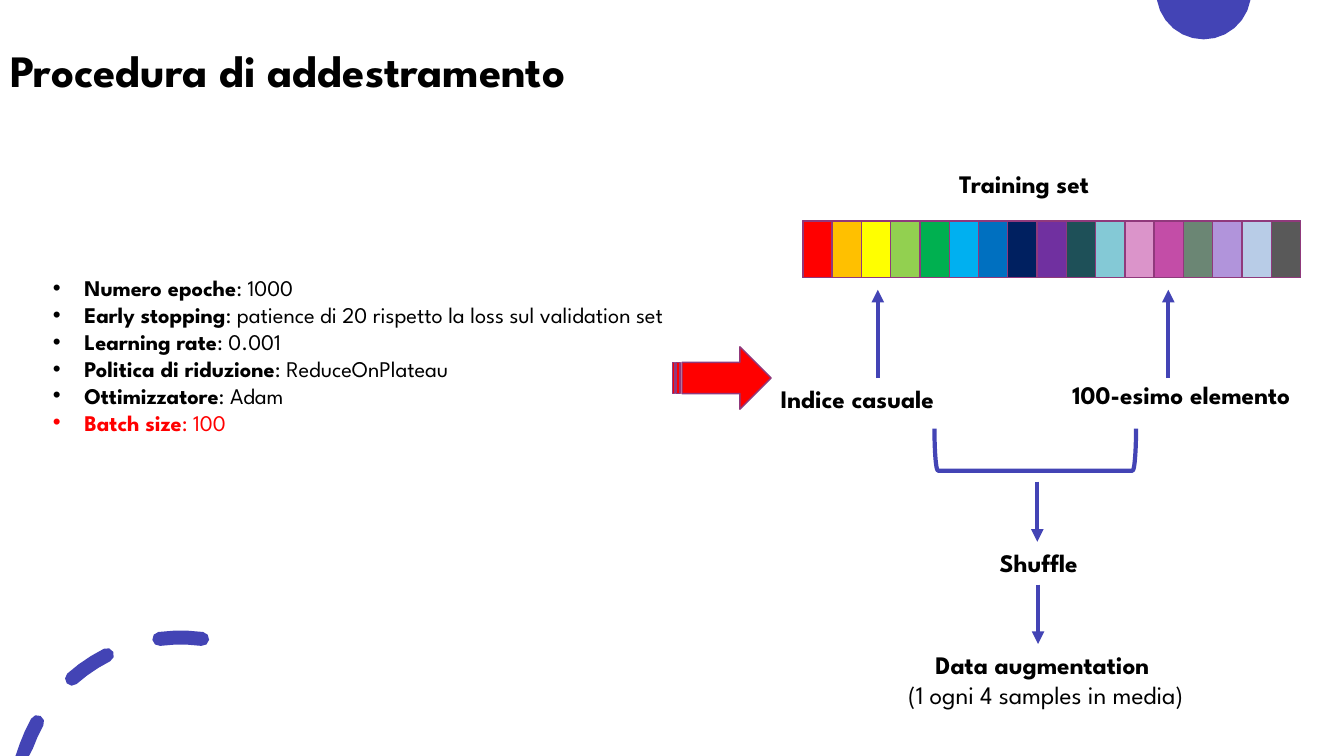
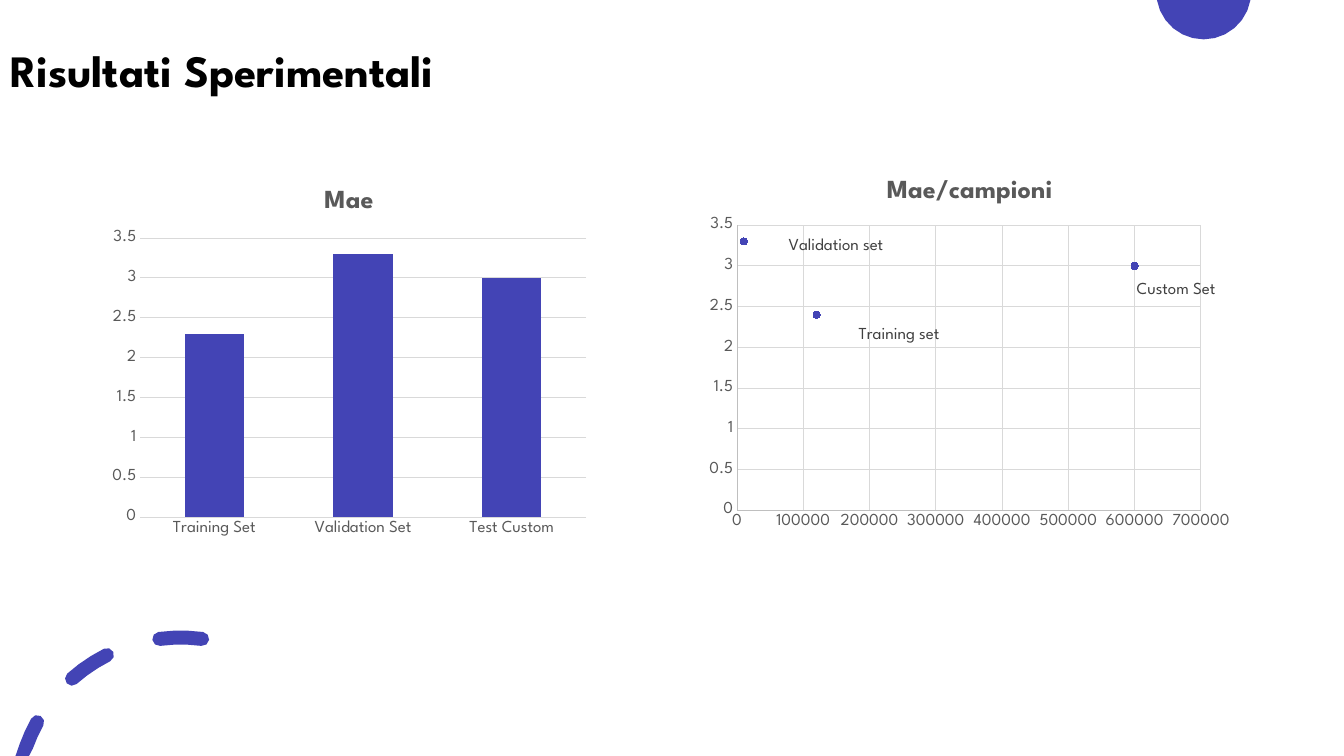
from math import asin, cos, degrees, radians, sin

from lxml.etree import SubElement
from pptx import Presentation
from pptx.chart.data import CategoryChartData, XyChartData
from pptx.dml.color import RGBColor
from pptx.enum.chart import XL_CHART_TYPE, XL_LABEL_POSITION, XL_MARKER_STYLE, XL_TICK_MARK
from pptx.enum.shapes import MSO_CONNECTOR, MSO_SHAPE
from pptx.enum.text import MSO_ANCHOR, MSO_AUTO_SIZE, PP_ALIGN
from pptx.oxml.ns import qn
from pptx.util import Pt

RECT = MSO_SHAPE.RECTANGLE
STRIPED = MSO_SHAPE.STRIPED_RIGHT_ARROW
BRACKET = MSO_SHAPE.LEFT_BRACKET
STRAIGHT = MSO_CONNECTOR.STRAIGHT
LEFT, CENTER = PP_ALIGN.LEFT, PP_ALIGN.CENTER
TOP, MIDDLE = MSO_ANCHOR.TOP, MSO_ANCHOR.MIDDLE
FIXED = MSO_AUTO_SIZE.NONE
COLUMN, SCATTER = XL_CHART_TYPE.COLUMN_CLUSTERED, XL_CHART_TYPE.XY_SCATTER
CIRCLE = XL_MARKER_STYLE.CIRCLE
NO_TICK = XL_TICK_MARK.NONE
RIGHT = XL_LABEL_POSITION.RIGHT

BLUE = RGBColor(0x43, 0x44, 0xB5)
BLACK = RGBColor(0, 0, 0)
RED = RGBColor(0xFF, 0, 0)
PLUM = RGBColor(0x90, 0x39, 0x7C)
GRAY = RGBColor(0x59, 0x59, 0x59)
DARK = RGBColor(0x40, 0x40, 0x40)
SILVER = RGBColor(0xBF, 0xBF, 0xBF)
PALE = RGBColor(0xD9, 0xD9, 0xD9)
BANDS = [RGBColor.from_string(code) for code in (
    "FF0000 FFC000 FFFF00 92D050 00B050 00B0F0 0070C0 002060 7030A0 "
    "1E5058 84C9D6 DB94CA C34DA7 6B8674 B194DB B8CCE7 595959").split()]

FONT = "League Spartan"
WIDE, HIGH = 960, 540
TITLED, LISTED = 5, 1


def arc(mid, size, start, end, steps):
    turns = [radians(start + (end - start) * i / steps) for i in range(steps + 1)]
    return [(mid[0] + size * cos(t), min(mid[1] - size * sin(t), HIGH)) for t in turns]


def dash(mid, size, half, start, end):
    def cap(turn, first):
        spot = (mid[0] + size * cos(radians(turn)), mid[1] - size * sin(radians(turn)))
        return arc(spot, half, first, first + 180, 4)[1:-1]

    return (arc(mid, size + half, start, end, 3) + cap(end, end)
            + arc(mid, size - half, end, start, 3) + cap(start, start + 180))


def place(node, spot, **parts):
    for old in node.findall(qn("c:layout")):
        node.remove(old)
    layout = node.makeelement(qn("c:layout"))
    node.insert(spot, layout)
    manual = SubElement(layout, qn("c:manualLayout"))
    for name, value in parts.items():
        SubElement(manual, qn("c:" + name)).set("val", str(value))


class Deck:
    def __init__(self):
        self.prs = Presentation()
        self.prs.slide_width, self.prs.slide_height = Pt(WIDE), Pt(HIGH)
        self.slide = None

    def start(self, layout, title, width):
        first = self.slide is None
        self.slide = self.prs.slides.add_slide(self.prs.slide_layouts[layout])
        if first:
            self.adorn()
        head = self.slide.shapes.title
        self.move(head, 0, 0, width, 104.4)
        para = self.frame(head, MIDDLE).paragraphs[0]
        para.alignment, para.line_spacing = LEFT, 0.9
        self.run(para, title, 32)

    def adorn(self):
        lean = degrees(asin(0.17))
        disc = arc((859.8, -5.8), 33.9, -lean, lean - 180, 12)
        hub = (129.1, 572.6)
        trail = [dash(hub, 117.2, 5, a, b) for a, b in ((82.5, 97.5), (116.7, 131.5), (151, 165))]
        tree = self.prs.slide_master.shapes.element
        for i, paths in enumerate(([disc], trail)):
            shape = self.outline(paths)
            shape.element.nvSpPr.cNvPr.id = 90 + i
            tree.insert(2 + i, shape.element)

    def outline(self, paths):
        paths = [[(Pt(x), Pt(y)) for x, y in path] for path in paths]
        pen = self.slide.shapes.build_freeform(*paths[0][0])
        for i, path in enumerate(paths):
            if i:
                pen.move_to(*path[0])
            pen.add_line_segments(path[1:], close=True)
        shape = pen.convert_to_shape()
        self.paint(shape, BLUE)
        return shape

    def move(self, shape, x, y, w, h):
        shape.left, shape.top, shape.width, shape.height = Pt(x), Pt(y), Pt(w), Pt(h)

    def frame(self, shape, anchor=TOP):
        frame = shape.text_frame
        frame.word_wrap, frame.auto_size = True, FIXED
        frame.vertical_anchor = anchor
        return frame

    def run(self, para, text, size, bold=True, color=BLACK):
        run = para.add_run()
        run.text = text
        font = run.font
        font.name, font.size, font.bold = FONT, Pt(size), bold
        font.color.rgb = color

    def paint(self, shape, fill=None, line=None, weight=1):
        shape.shadow.inherit = False
        if fill is None:
            shape.fill.background()
        else:
            shape.fill.solid()
            shape.fill.fore_color.rgb = fill
        if line is None:
            shape.line.fill.background()
        else:
            shape.line.color.rgb, shape.line.width = line, Pt(weight)

    def shape(self, kind, x, y, w, h, fill=None, line=PLUM, weight=1, turn=0):
        shape = self.slide.shapes.add_shape(kind, Pt(x), Pt(y), Pt(w), Pt(h))
        self.paint(shape, fill, line, weight)
        shape.rotation = turn

    def text(self, x, y, w, h, lines, align=LEFT):
        box = self.slide.shapes.add_textbox(Pt(x), Pt(y), Pt(w), Pt(h))
        frame = self.frame(box)
        for i, (line, bold) in enumerate(lines):
            para = frame.add_paragraph() if i else frame.paragraphs[0]
            para.alignment = align
            self.run(para, line, 18, bold)

    def bullets(self, x, y, w, h, rows):
        body = self.slide.placeholders[1]
        self.move(body, x, y, w, h)
        frame = self.frame(body)
        for i, (label, value, color) in enumerate(rows):
            para = frame.add_paragraph() if i else frame.paragraphs[0]
            para.space_before = Pt(0)
            props = para._p.get_or_add_pPr()
            props.set("marL", str(Pt(22.5)))
            props.set("indent", str(-Pt(22.5)))
            self.run(para, label, 16, True, color)
            self.run(para, ": " + value, 16, False, color)

    def arrow(self, x, y, end):
        line = self.slide.shapes.add_connector(STRAIGHT, Pt(x), Pt(y), Pt(x), Pt(end))
        line.line.color.rgb, line.line.width = BLUE, Pt(3)
        props = line.element.spPr
        SubElement(props.find(qn("a:ln")), qn("a:tailEnd")).set("type", "triangle")
        SubElement(props, qn("a:effectLst"))

    def axis(self, axis, line=None, grid=True, top=None, step=None):
        axis.major_tick_mark = axis.minor_tick_mark = NO_TICK
        axis.has_major_gridlines = grid
        if grid:
            rule = axis.major_gridlines.format.line
            rule.color.rgb, rule.width = PALE, Pt(0.75)
        if line is None:
            axis.format.line.fill.background()
        else:
            axis.format.line.color.rgb, axis.format.line.width = line, Pt(0.75)
        if top:
            axis.minimum_scale, axis.maximum_scale, axis.major_unit = 0, top, step

    def chart(self, kind, x, y, w, h, data, title, spot, plot):
        shape = self.slide.shapes.add_chart(kind, Pt(x), Pt(y), Pt(w), Pt(h), data)
        chart = shape.chart
        chart.font.name, chart.font.size = FONT, Pt(12)
        chart.font.color.rgb = GRAY
        chart.has_legend, chart.has_title = False, True
        self.run(chart.chart_title.text_frame.paragraphs[0], title, 18.6, True, GRAY)
        chart.chart_title.include_in_layout = False
        chart.plots[0].vary_by_categories = False
        tree = chart.element
        left, top = spot
        place(tree.find(".//" + qn("c:title")), 1, xMode="edge", yMode="edge",
              x=left / w, y=top / h)
        left, top, wide, high = plot
        place(tree.find(".//" + qn("c:plotArea")), 0, layoutTarget="inner",
              xMode="edge", yMode="edge", x=left / w, y=top / h, w=wide / w, h=high / h)
        return chart

    def columns(self, x, y, w, h, title, rows, **places):
        data = CategoryChartData()
        data.categories = [name for name, _ in rows]
        data.add_series("Series 1", [value for _, value in rows])
        chart = self.chart(COLUMN, x, y, w, h, data, title, **places)
        self.axis(chart.category_axis, grid=False)
        self.axis(chart.value_axis, top=3.5, step=0.5)
        plot = chart.plots[0]
        plot.gap_width = 150
        fill = plot.series[0].format.fill
        fill.solid()
        fill.fore_color.rgb = BLUE

    def scatter(self, x, y, w, h, title, rows, **places):
        data = XyChartData()
        series = data.add_series("Series 1")
        for _, across, up, _ in rows:
            series.add_data_point(across, up)
        chart = self.chart(SCATTER, x, y, w, h, data, title, **places)
        self.axis(chart.category_axis, SILVER, top=700000, step=100000)
        self.axis(chart.value_axis, SILVER, top=3.5, step=0.5)
        dots = chart.plots[0].series[0]
        dots.format.line.fill.background()
        mark = dots.marker
        mark.style, mark.size = CIRCLE, 5
        mark.format.fill.solid()
        mark.format.fill.fore_color.rgb = BLUE
        mark.format.line.color.rgb = BLUE
        for i, (name, _, _, _) in enumerate(rows):
            label = dots.points[i].data_label
            self.run(label.text_frame.paragraphs[0], name, 12, False, DARK)
            label.position = RIGHT
        for node, row in zip(chart.element.iter(qn("c:dLbl")), rows):
            place(node, 1, x=row[3][0] / w, y=row[3][1] / h)
        for node in chart.element.iter(qn("c:showLeaderLines")):
            node.set("val", "0")


def train(deck):
    deck.start(LISTED, "Procedura di addestramento", 615.6)
    deck.bullets(30.6, 192.4, 546, 124, [
        ("Numero epoche", "1000", BLACK),
        ("Early stopping", "patience di 20 rispetto la loss sul validation set", BLACK),
        ("Learning rate", "0.001", BLACK),
        ("Politica di riduzione", "ReduceOnPlateau", BLACK),
        ("Ottimizzatore", "Adam", BLACK),
        ("Batch size", "100", RED)])
    deck.shape(STRIPED, 480.2, 247.7, 70.6, 44.6, RED)

    left, top, wide, high = 573.5, 157.9, 355.5, 40.3
    deck.shape(RECT, left, top, wide, high, line=BLUE)
    step = wide / len(BANDS)
    for i, color in enumerate(BANDS):
        deck.shape(RECT, left + i * step, top, step, high, color)

    for x, y, w, label in ((678, 116.6, 176, "Training set"),
                           (550.5, 270, 160, "Indice casuale"),
                           (759, 267.4, 200, "100-esimo elemento"),
                           (707, 387.4, 75, "Shuffle")):
        deck.text(x, y, w, 29, [(label, True)])
    deck.text(602, 460, 290, 73, [("Data augmentation ", True),
                                  ("(1 ogni 4 samples in media)", False)], CENTER)
    deck.shape(BRACKET, 724.5, 249.2, 30, 144, line=BLUE, weight=3, turn=270)
    for x, y, end in ((627, 270, 207), (834.5, 270, 207), (741.5, 417.6, 460), (741, 344, 387)):
        deck.arrow(x, y, end)


def results(deck):
    deck.start(TITLED, "Risultati Sperimentali", 828)
    deck.columns(73.5, 121, 352, 268.5, "Mae",
                 [("Training Set", 2.3), ("Validation Set", 3.3), ("Test Custom", 3)],
                 spot=(154.8, 8.6), plot=(26.6, 49.1, 318.6, 199.3))
    deck.scatter(499.5, 116, 387.5, 268.5, "Mae/campioni",
                 [("Training set", 120000, 2.4, (24.7, 15.1)),
                  ("Validation set", 10000, 3.3, (26.8, 3.9)),
                  ("Custom Set", 600000, 3, (-3.9, 17.6))],
                 spot=(130.6, 6.7), plot=(27, 44.9, 331.4, 203.6))


def main():
    deck = Deck()
    train(deck)
    results(deck)
    deck.prs.save("out.pptx")


if __name__ == "__main__":
    main()
